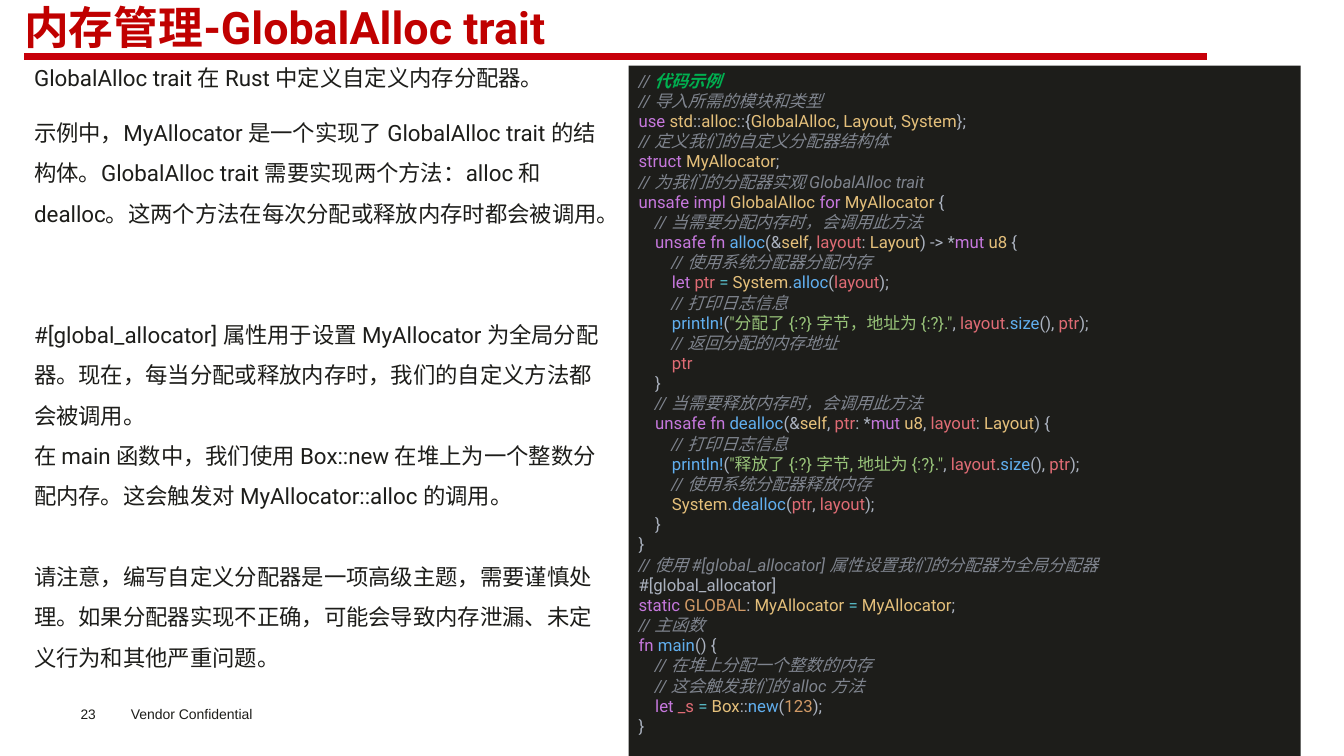
import dataclasses
import itertools
import typing

import lxml.etree
import pptx
import pptx.dml.color
import pptx.enum.shapes
import pptx.enum.text
import pptx.oxml.ns
import pptx.slide
import pptx.text.text
import pptx.util

RGBColor = pptx.dml.color.RGBColor
INK = RGBColor(0x1D, 0x1D, 0x1A)
TITLE_RED = RGBColor(0xC0, 0x00, 0x00)
RULE_RED = RGBColor(0xC7, 0x00, 0x0A)
HEADING_GREEN = RGBColor(0x00, 0xB0, 0x50)
COMMENT = RGBColor(0x7F, 0x84, 0x8E)
KEYWORD = RGBColor(0xC6, 0x78, 0xDD)
TYPE = RGBColor(0xE5, 0xC0, 0x7B)
FUNCTION = RGBColor(0x61, 0xAF, 0xEF)
VARIABLE = RGBColor(0xE0, 0x6C, 0x75)
CONSTANT = RGBColor(0xD1, 0x9A, 0x66)
STRING = RGBColor(0x98, 0xC3, 0x79)
OPERATOR = RGBColor(0x56, 0xB6, 0xC2)
PLAIN = RGBColor(0xAB, 0xB2, 0xBF)

WORD_COLOURS = {
    **dict.fromkeys(["use", "struct", "unsafe", "impl", "for"], KEYWORD),
    **dict.fromkeys(["fn", "mut", "let", "static"], KEYWORD),
    **dict.fromkeys(["ptr", "layout", "_s"], VARIABLE),
    **dict.fromkeys(["GLOBAL", "123"], CONSTANT),
}

CODE_HEADING = "代码示例"
CODE_LINES = [
    "// 代码示例",
    "// 导入所需的模块和类型",
    "use std::alloc::{GlobalAlloc, Layout, System};",
    "// 定义我们的自定义分配器结构体",
    "struct MyAllocator;",
    "// 为我们的分配器实观 GlobalAlloc trait",
    "unsafe impl GlobalAlloc for MyAllocator {",
    "    // 当需要分配内存时，会调用此方法",
    "    unsafe fn alloc(&self, layout: Layout) -> *mut u8 {",
    "        // 使用系统分配器分配内存",
    "        let ptr = System.alloc(layout);",
    "        // 打印日志信息",
    '        println!("分配了 {:?} 字节，地址为 {:?}.", layout.size(), ptr);',
    "        // 返回分配的内存地址",
    "        ptr",
    "    }",
    "    // 当需要释放内存时，会调用此方法",
    "    unsafe fn dealloc(&self, ptr: *mut u8, layout: Layout) {",
    "        // 打印日志信息",
    '        println!("释放了 {:?} 字节, 地址为 {:?}.", layout.size(), ptr);',
    "        // 使用系统分配器释放内存",
    "        System.dealloc(ptr, layout);",
    "    }",
    "}",
    "// 使用 #[global_allocator] 属性设置我们的分配器为全局分配器",
    "#[global_allocator]",
    "static GLOBAL: MyAllocator = MyAllocator;",
    "// 主函数",
    "fn main() {",
    "    // 在堆上分配一个整数的内存",
    "    // 这会触发我们的 alloc 方法",
    "    let _s = Box::new(123);",
    "}",
]


@dataclasses.dataclass(frozen=True)
class Area:
    left: int
    top: int
    width: int
    height: int


@dataclasses.dataclass(frozen=True)
class Note:
    text: str
    space_before: int = 0


@dataclasses.dataclass(frozen=True)
class TextBlock:
    area: Area
    notes: list[Note]
    font: str = "Roboto"
    size: float = 16
    line_spacing: float = 1.0
    inset: bool = True


@dataclasses.dataclass(frozen=True)
class Span:
    text: str
    colour: RGBColor
    italic: bool = False
    bold: bool = False


TEXT_BLOCKS = [
    TextBlock(Area(24, 59, 587, 37), [Note("GlobalAlloc trait 在 Rust 中定义自定义内存分配器。")]),
    TextBlock(Area(24, 100, 584, 531), [
        Note("示例中，MyAllocator 是一个实现了 GlobalAlloc trait 的结构体。GlobalAlloc trait "
             "需要实现两个方法：alloc 和 dealloc。这两个方法在每次分配或释放内存时都会被调用。"),
        Note("#[global_allocator] 属性用于设置 MyAllocator 为全局分配器。"
             "现在，每当分配或释放内存时，我们的自定义方法都会被调用。", 58),
        Note("在 main 函数中，我们使用 Box::new 在堆上为一个整数分配内存。"
             "这会触发对 MyAllocator::alloc 的调用。"),
        Note("请注意，编写自定义分配器是一项高级主题，需要谨慎处理。"
             "如果分配器实现不正确，可能会导致内存泄漏、未定义行为和其他严重问题。", 29),
    ], line_spacing=1.5),
    TextBlock(Area(120, 695, 160, 27), [Note("Vendor Confidential")], "Arial", 10),
    TextBlock(Area(80, 700, 55, 16), [Note("23")], "Arial", 9.8, inset=False),
]


def px(length: int) -> pptx.util.Emu:
    return pptx.util.Emu(length * 9144)


def box_of(area: Area) -> list[pptx.util.Emu]:
    return [px(length) for length in dataclasses.astuple(area)]


def clear_insets(frame: pptx.text.text.TextFrame) -> None:
    frame.margin_left = frame.margin_right = frame.margin_top = frame.margin_bottom = 0


def style(font: pptx.text.text.Font, name: str, size: float, colour: RGBColor) -> None:
    font.name = name
    font.size = pptx.util.Pt(size)
    font.color.rgb = colour


def kind(character: str) -> str:
    if character.isalnum() or character in "_!":
        return "word"
    return "operator" if character == "=" else "plain"


def highlight(line: str) -> typing.Iterator[Span]:
    """Split one line of Rust into coloured spans."""
    if line.endswith(CODE_HEADING):
        yield Span(line.removesuffix(CODE_HEADING), COMMENT, italic=True)
        yield Span(CODE_HEADING, HEADING_GREEN, italic=True, bold=True)
        return
    if line.lstrip().startswith("//"):
        yield Span(line, COMMENT, italic=True)
        return
    if line.startswith("#"):
        yield Span(line, PLAIN)
        return
    for index, part in enumerate(line.split('"')):
        if index % 2:
            yield Span(f'"{part}"', STRING)
            continue
        tokens = [(name, "".join(group)) for name, group in itertools.groupby(part, kind)]
        followers = [text for _, text in tokens[1:]] + [""]
        for (name, text), follower in zip(tokens, followers):
            if name == "word":
                colour = FUNCTION if follower.startswith("(") else WORD_COLOURS.get(text, TYPE)
            else:
                colour = OPERATOR if name == "operator" else PLAIN
            yield Span(text, colour)


def add_title(page: pptx.slide.Slide) -> None:
    title = page.shapes.title
    title.left, title.top, title.width, title.height = box_of(Area(24, 5, 1175, 50))
    frame = title.text_frame
    frame.text = "内存管理-GlobalAlloc trait"
    frame.auto_size = pptx.enum.text.MSO_AUTO_SIZE.NONE
    frame.vertical_anchor = pptx.enum.text.MSO_ANCHOR.TOP
    clear_insets(frame)
    para = frame.paragraphs[0]
    para.alignment = pptx.enum.text.PP_ALIGN.LEFT
    para.line_spacing = pptx.util.Pt(34.3)
    style(para.runs[0].font, "Roboto", 32, TITLE_RED)
    para.runs[0].font.bold = True


def add_rule(page: pptx.slide.Slide) -> None:
    rule = page.shapes.add_connector(
        pptx.enum.shapes.MSO_CONNECTOR.STRAIGHT, px(24), px(56), px(1198), px(56))
    rule.line.color.rgb = RULE_RED
    rule.line.width = pptx.util.Pt(4.5)
    properties = rule.element.find(pptx.oxml.ns.qn("p:spPr"))
    lxml.etree.SubElement(properties, pptx.oxml.ns.qn("a:effectLst"))


def add_text_block(page: pptx.slide.Slide, block: TextBlock) -> None:
    frame = page.shapes.add_textbox(*box_of(block.area)).text_frame
    frame.word_wrap = True
    if not block.inset:
        clear_insets(frame)
    frame.text = "\n".join(note.text for note in block.notes)
    for para, note in zip(frame.paragraphs, block.notes):
        para.line_spacing = block.line_spacing
        if note.space_before:
            para.space_before = pptx.util.Pt(note.space_before)
        style(para.runs[0].font, block.font, block.size, INK)


def add_code_panel(page: pptx.slide.Slide) -> None:
    panel = page.shapes.add_shape(
        pptx.enum.shapes.MSO_SHAPE.RECTANGLE, *box_of(Area(624, 65, 667, 685)))
    panel.shadow.inherit = False
    panel.fill.solid()
    panel.fill.fore_color.rgb = INK
    panel.line.fill.background()
    frame = panel.text_frame
    frame.word_wrap = True
    frame.vertical_anchor = pptx.enum.text.MSO_ANCHOR.TOP
    for index, line in enumerate(CODE_LINES):
        para = frame.add_paragraph() if index else frame.paragraphs[0]
        para.alignment = pptx.enum.text.PP_ALIGN.LEFT
        for span in highlight(line):
            run = para.add_run()
            run.text = span.text
            style(run.font, "Roboto", 12, span.colour)
            run.font.italic = span.italic
            run.font.bold = span.bold


def main() -> None:
    deck = pptx.Presentation()
    deck.slide_width, deck.slide_height = px(1334), px(750)
    page = deck.slides.add_slide(deck.slide_layouts.get_by_name("Title Only"))
    add_title(page)
    add_rule(page)
    for block in TEXT_BLOCKS:
        add_text_block(page, block)
    add_code_panel(page)
    deck.save("out.pptx")


if __name__ == "__main__":
    main()
